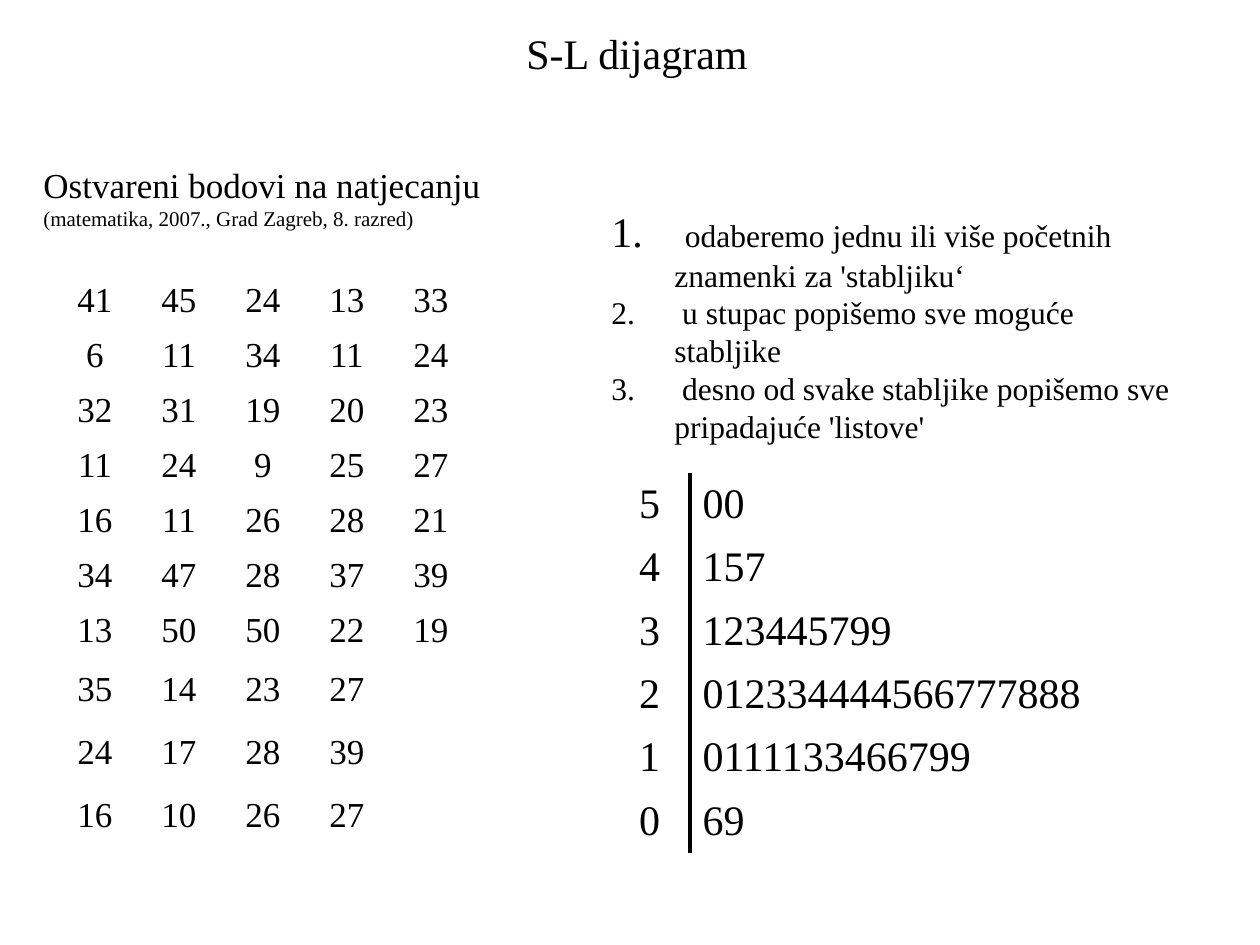
"""Build a slide that introduces the stem-and-leaf diagram with competition scores."""
import pptx
import pptx.dml.color
import pptx.enum.text
import pptx.oxml
import pptx.oxml.ns
import pptx.util

TITLE = "S-L dijagram"
HEADING = "Ostvareni bodovi na natjecanju"
SUBHEADING = "(matematika, 2007., Grad Zagreb, 8. razred)"
STEPS = [
    [(" ", "large"), ("odaberemo jednu ili više početnih znamenki za 'stabljiku‘", "step")],
    [(" u stupac popišemo sve moguće stabljike", "step")],
    [(" desno od svake stabljike popišemo sve pripadajuće 'listove'", "step")],
]
SCORES = [
    (41, 45, 24, 13, 33),
    (6, 11, 34, 11, 24),
    (32, 31, 19, 20, 23),
    (11, 24, 9, 25, 27),
    (16, 11, 26, 28, 21),
    (34, 47, 28, 37, 39),
    (13, 50, 50, 22, 19),
    (35, 14, 23, 27),
    (24, 17, 28, 39),
    (16, 10, 26, 27),
]
STEMS_AND_LEAVES = [
    ("5", "00"),
    ("4", "157"),
    ("3", "123445799"),
    ("2", "012334444566777888"),
    ("1", "0111133466799"),
    ("0", "69"),
]
THEME = {
    "font": "Times New Roman",
    "ink": "000000",
    "sizes": {"large": 24, "body": 20, "step": 18, "small": 12},
    "rule": 2.2,
    "plain_table": "{2D5ABB26-0587-4C30-8999-92F81FD0307C}",
}
SCALE = 914400 / 126
CENTER = pptx.enum.text.PP_ALIGN.CENTER
LEFT = pptx.enum.text.PP_ALIGN.LEFT


def px(length):
    return pptx.util.Emu(round(length * SCALE))


def apply(target, values):
    for attribute, value in values.items():
        setattr(target, attribute, value)


def write(paragraph, text, size):
    run = paragraph.add_run()
    run.text = text
    apply(run.font, {"name": THEME["font"], "size": pptx.util.Pt(THEME["sizes"][size])})
    run.font.color.rgb = pptx.dml.color.RGBColor.from_string(THEME["ink"])


def add_element(parent, xml, index=None):
    element = pptx.oxml.parse_xml(xml.replace(" ", " " + pptx.oxml.ns.nsdecls("a") + " ", 1))
    parent.insert(len(parent) if index is None else index, element)


def number(paragraph):
    properties = paragraph._p.get_or_add_pPr()
    properties.set("marL", str(px(63)))
    properties.set("indent", str(-px(63)))
    add_element(properties, f'<a:buClr ><a:srgbClr val="{THEME["ink"]}"/></a:buClr>')
    add_element(properties, '<a:buFont typeface="+mj-lt"/>')
    add_element(properties, '<a:buAutoNum type="arabicPeriod"/>')


def add_text(slide, box, paragraphs, wrap=False, numbered=False):
    frame = slide.shapes.add_textbox(*map(px, box)).text_frame
    apply(frame, {"word_wrap": wrap, "auto_size": pptx.enum.text.MSO_AUTO_SIZE.SHAPE_TO_FIT_TEXT})
    for position, runs in enumerate(paragraphs):
        paragraph = frame.add_paragraph() if position else frame.paragraphs[0]
        if numbered:
            number(paragraph)
        for text, size in runs:
            write(paragraph, text, size)


def add_grid(slide, corner, widths, heights, rows, size, alignments):
    box = (*corner, sum(widths), sum(heights))
    table = slide.shapes.add_table(len(heights), len(widths), *map(px, box)).table
    apply(table, {"first_row": False, "horz_banding": False})
    table._tbl.tblPr[0].text = THEME["plain_table"]
    for column, width in zip(table.columns, widths):
        column.width = px(width)
    for row, height in zip(table.rows, heights):
        row.height = px(height)
    for cell in table.iter_cells():
        cell.fill.background()
        cell.vertical_anchor = pptx.enum.text.MSO_ANCHOR.MIDDLE
    for row, values in enumerate(rows):
        for column, value in enumerate(values):
            paragraph = table.cell(row, column).text_frame.paragraphs[0]
            paragraph.alignment = alignments[column]
            write(paragraph, str(value), size)
    return table


def rule_between(table):
    width = pptx.util.Pt(THEME["rule"])
    for row in table.rows:
        for cell, side in zip(row.cells, ("lnR", "lnL")):
            add_element(
                cell._tc.get_or_add_tcPr(),
                f'<a:{side} w="{width}"><a:solidFill><a:srgbClr val="{THEME["ink"]}"/>'
                f"</a:solidFill></a:{side}>",
                0,
            )


def main():
    deck = pptx.Presentation()
    apply(deck, {"slide_width": px(1260), "slide_height": px(945)})
    slide = deck.slides.add_slide(deck.slide_layouts[6])

    add_text(slide, (31, 157, 470, 81), [[(HEADING, "body")], [(SUBHEADING, "small")]])
    score_heights = [55 if len(scores) == 5 else 63 for scores in SCORES]
    add_grid(slide, (53, 273), [84] * 5, score_heights, SCORES, "body", [CENTER] * 5)
    diagram = add_grid(
        slide, (609, 473), [81, 423], [63, 63, 64] * 2, STEMS_AND_LEAVES, "large", [CENTER, LEFT]
    )
    rule_between(diagram)
    add_text(slide, (514, 21, 248, 63), [[(TITLE, "large")]])
    add_text(slide, (599, 199, 588, 252), STEPS, wrap=True, numbered=True)

    deck.save("out.pptx")


if __name__ == "__main__":
    main()
